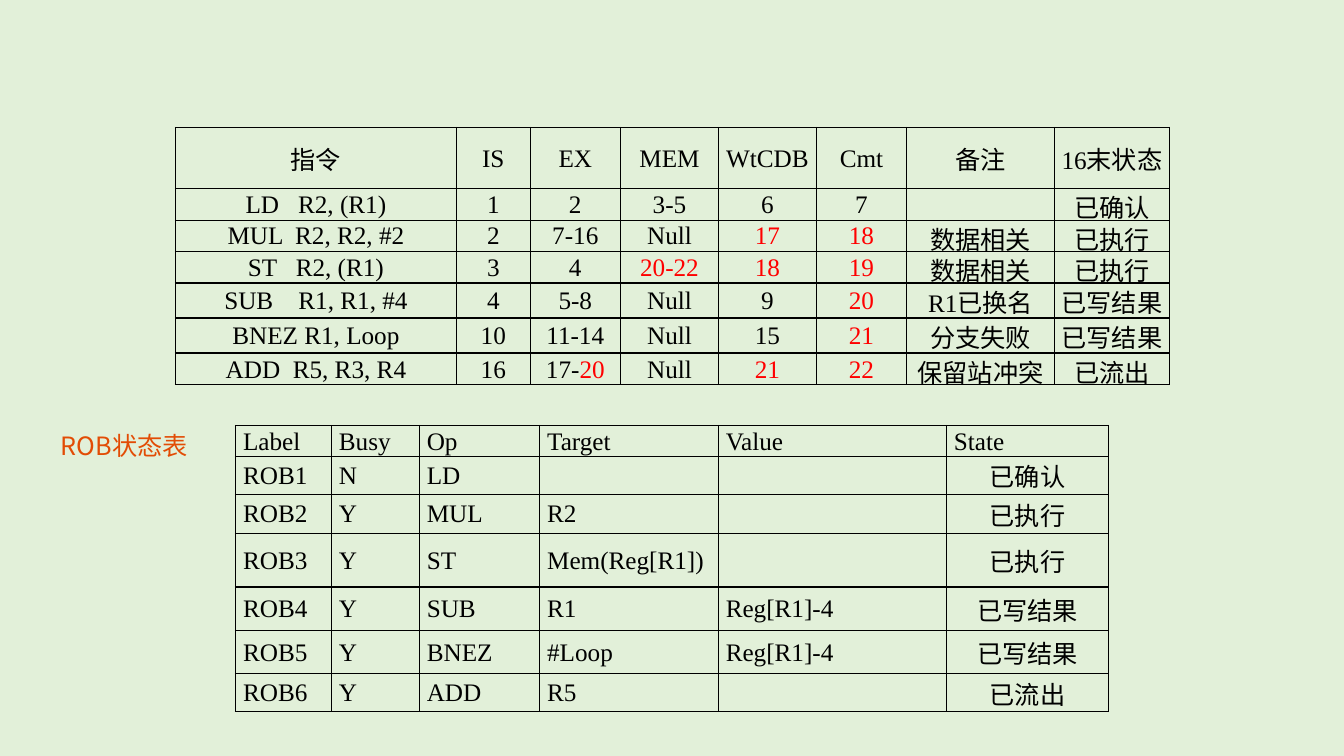
from dataclasses import dataclass
from lxml.etree import SubElement
from pptx import Presentation
from pptx.dml.color import RGBColor
from pptx.enum.text import MSO_ANCHOR, MSO_AUTO_SIZE, PP_ALIGN
from pptx.oxml.ns import qn
from pptx.slide import Slide
from pptx.table import _Cell
from pptx.text.text import _Paragraph
from pptx.util import Pt


@dataclass(frozen=True)
class Theme:
    background: str = "E2F0D9"
    text: str = "000000"
    pending: str = "FF0000"
    caption: str = "E24C05"
    border_width: float = 1
    size: float = 18
    latin_font: str = "Times New Roman"
    chinese_font: str = "Noto Sans CJK SC"


THEME = Theme()


@dataclass(frozen=True)
class Run:
    text: str
    color: str = THEME.text
    font: str = THEME.latin_font


@dataclass(frozen=True)
class Column:
    width: float
    inset: float
    alignment: PP_ALIGN
    inset_top: float = 0.72


CellText = str | tuple[Run, ...]


@dataclass(frozen=True)
class Grid:
    left: float
    top: float
    header_alignment: PP_ALIGN
    columns: tuple[Column, ...]
    heights: tuple[float, ...]
    rows: tuple[tuple[CellText, ...], ...]


def pending(text: str) -> tuple[Run, ...]:
    return (Run(text, THEME.pending),)


def centered(width: float, inset: float, inset_top: float = 0.72) -> Column:
    return Column(width, inset, PP_ALIGN.CENTER, inset_top)


def justified(width: float) -> Column:
    return Column(width, 5.4, PP_ALIGN.JUSTIFY)


INSTRUCTIONS = Grid(
    125.28, 91.08, PP_ALIGN.CENTER,
    (
        centered(200.8, 5.4),
        *(centered(width, 4.8) for width in (52.6, 64.6, 70, 70, 64.3)),
        *(centered(width, 0, 0) for width in (105.8, 81.9)),
    ),
    (43.7, 22.5, 22.5, 22.5, 25, 25, 22.8),
    (
        ("指令", "IS", "EX", "MEM", "WtCDB", "Cmt", "备注", "16末状态"),
        ("LD   R2, (R1)", "1", "2", "3-5", "6", "7", "", "已确认"),
        ("MUL  R2, R2, #2", "2", "7-16", "Null", pending("17"), pending("18"), "数据相关", "已执行"),
        ("ST   R2, (R1)", "3", "4", pending("20-22"), pending("18"), pending("19"), "数据相关", "已执行"),
        ("SUB    R1, R1, #4", "4", "5-8", "Null", "9", pending("20"), "R1已换名", "已写结果"),
        ("BNEZ R1, Loop", "10", "11-14", "Null", "15", pending("21"), "分支失败", "已写结果"),
        ("ADD  R5, R3, R4", "16", (Run("17-"), *pending("20")), "Null", pending("21"), pending("22"),
         "保留站冲突", "已流出"),
    ),
)

REORDER_BUFFER = Grid(
    168.2, 303.9, PP_ALIGN.JUSTIFY,
    (*(justified(width) for width in (68.5, 62.8, 86, 127.6, 163)), centered(115.8, 5.4)),
    (22.3, 22.5, 28.2, 38.2, 31, 31, 22.5),
    (
        ("Label", "Busy", "Op", "Target", "Value", "State"),
        ("ROB1", "N", "LD", "", "", "已确认"),
        ("ROB2", "Y", "MUL", "R2", "", "已执行"),
        ("ROB3", "Y", "ST", "Mem(Reg[R1])", "", "已执行"),
        ("ROB4", "Y", "SUB", "R1", "Reg[R1]-4", "已写结果"),
        ("ROB5", "Y", "BNEZ", "#Loop", "Reg[R1]-4", "已写结果"),
        ("ROB6", "Y", "ADD", "R5", "", "已流出"),
    ),
)


def add_run(paragraph: _Paragraph, content: Run) -> None:
    run = paragraph.add_run()
    run.text = content.text
    run.font.size = Pt(THEME.size)
    run.font.name = content.font
    run.font.color.rgb = RGBColor.from_string(content.color)
    SubElement(run.font._element, qn("a:ea"), typeface=THEME.chinese_font)


def add_borders(cell: _Cell) -> None:
    properties = cell._tc.get_or_add_tcPr()
    for side in ("a:lnL", "a:lnR", "a:lnT", "a:lnB"):
        line = SubElement(properties, qn(side), w=str(Pt(THEME.border_width)))
        fill = SubElement(line, qn("a:solidFill"))
        SubElement(fill, qn("a:srgbClr"), val=THEME.text)


def fill_cell(cell: _Cell, column: Column, alignment: PP_ALIGN, content: CellText) -> None:
    add_borders(cell)
    cell.fill.background()
    cell.vertical_anchor = MSO_ANCHOR.MIDDLE
    cell.margin_left = cell.margin_right = Pt(column.inset)
    cell.margin_top = Pt(column.inset_top)
    cell.margin_bottom = Pt(0)
    paragraph = cell.text_frame.paragraphs[0]
    paragraph.alignment = alignment
    if not content:
        paragraph.font.size = Pt(THEME.size)
        return
    for run in (Run(content),) if isinstance(content, str) else content:
        add_run(paragraph, run)


def add_grid(slide: Slide, grid: Grid) -> None:
    width = sum(column.width for column in grid.columns)
    table = slide.shapes.add_table(
        len(grid.rows), len(grid.columns),
        Pt(grid.left), Pt(grid.top), Pt(width), Pt(sum(grid.heights)),
    ).table
    table.first_row = table.horz_banding = False
    for table_column, column in zip(table.columns, grid.columns):
        table_column.width = Pt(column.width)
    for index, contents in enumerate(grid.rows):
        table_row = table.rows[index]
        table_row.height = Pt(grid.heights[index])
        for cell, column, content in zip(table_row.cells, grid.columns, contents):
            alignment = column.alignment if index else grid.header_alignment
            fill_cell(cell, column, alignment, content)


def add_caption(slide: Slide, text: str) -> None:
    shape = slide.shapes.add_textbox(Pt(36.5), Pt(303.9), Pt(134.6), Pt(29))
    frame = shape.text_frame
    frame.word_wrap = True
    frame.auto_size = MSO_AUTO_SIZE.SHAPE_TO_FIT_TEXT
    add_run(frame.paragraphs[0], Run(text, THEME.caption, THEME.chinese_font))


def main() -> None:
    presentation = Presentation()
    presentation.slide_width = Pt(960)
    presentation.slide_height = Pt(540)
    slide = presentation.slides.add_slide(presentation.slide_layouts[6])
    slide.background.fill.solid()
    slide.background.fill.fore_color.rgb = RGBColor.from_string(THEME.background)
    add_grid(slide, REORDER_BUFFER)
    add_caption(slide, "ROB状态表")
    add_grid(slide, INSTRUCTIONS)
    presentation.save("out.pptx")


if __name__ == "__main__":
    main()
